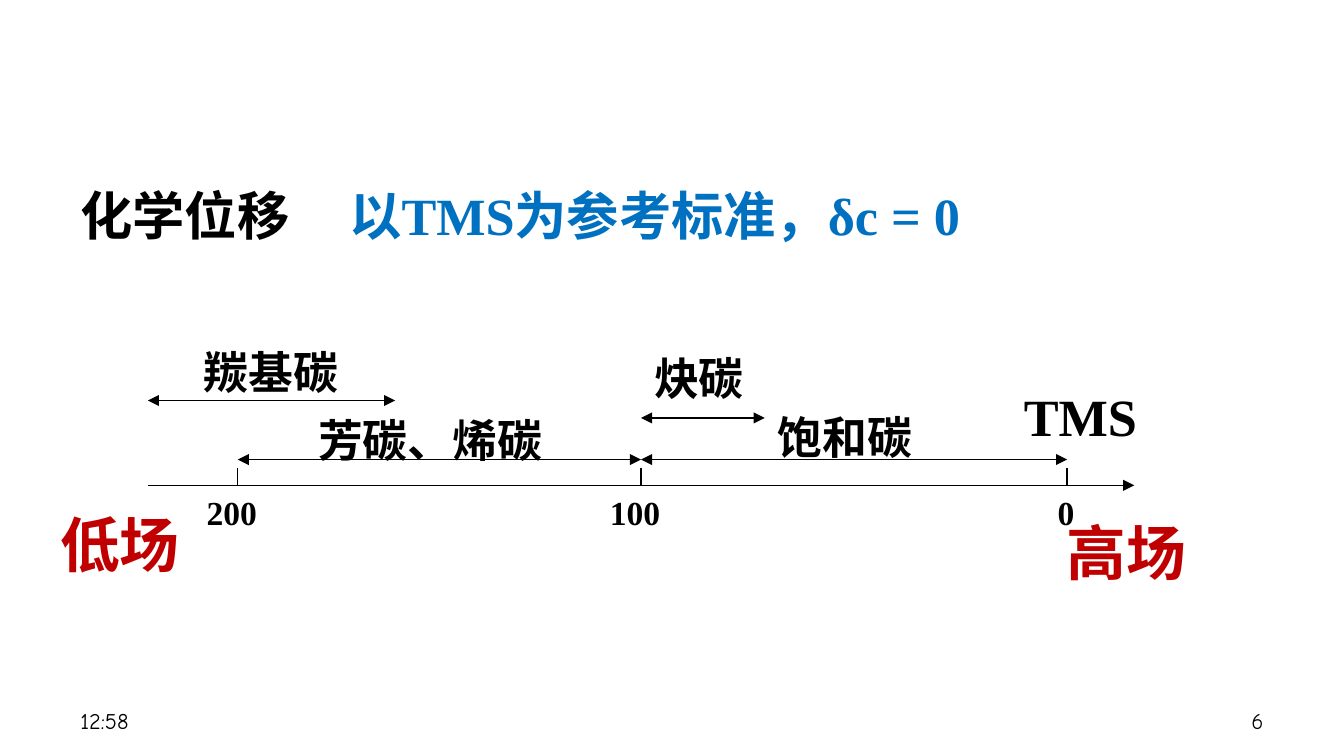
import dataclasses
import typing

import pptx
import pptx.dml.color
import pptx.enum.shapes
import pptx.enum.text
import pptx.oxml.ns
import pptx.slide
import pptx.text.text
import pptx.util
from lxml import etree

Pt = pptx.util.Pt
Color = pptx.dml.color.RGBColor
Align = pptx.enum.text.PP_ALIGN
Anchor = pptx.enum.text.MSO_ANCHOR
AutoSize = pptx.enum.text.MSO_AUTO_SIZE
qn = pptx.oxml.ns.qn


@dataclasses.dataclass(frozen=True)
class Theme:
    black: str = "000000"
    blue: str = "0070C0"
    red: str = "C00000"
    latin: str = "Times New Roman"
    chinese: str = "Noto Sans CJK SC"
    footer: str = "Comic Neue"
    heading_size: float = 28
    field_size: float = 32
    range_size: float = 24
    tick_size: float = 18
    footer_size: float = 12
    line_width: float = 0.75


THEME = Theme()


@dataclasses.dataclass(frozen=True)
class Label:
    text: str
    left: float
    top: float
    width: float
    height: float
    size: float
    font: str = THEME.chinese
    color: str = THEME.black
    bold: bool = True


@dataclasses.dataclass(frozen=True)
class Tick:
    text: str
    x: float
    label_offset: float
    label_width: float


@dataclasses.dataclass(frozen=True)
class ShiftRange:
    start: float
    end: float
    y: float


AXIS_Y = 260
TICK_HEIGHT = 9.5
AXIS_START, AXIS_END = 79.2, 607.7
TICKS = [
    Tick("200", 127.4, 23.8, 41.8),
    Tick("100", 343.4, 23.8, 41.8),
    Tick("0", 571.7, 12.2, 24),
]
X_200, X_100, X_0 = (tick.x for tick in TICKS)
RANGES = [
    ShiftRange(X_100, X_0, 246.2),
    ShiftRange(X_200, X_100, 246.2),
    ShiftRange(X_100, 409.7, 223.9),
    ShiftRange(AXIS_START, 211.7, 214.6),
]
LABELS = [
    Label("低场", 25.2, 268.6, 79.2, 46, THEME.field_size, color=THEME.red),
    Label("高场", 564.5, 272.9, 79.2, 46, THEME.field_size, color=THEME.red),
    Label("饱和碳", 409.7, 216, 87.1, 36, THEME.range_size),
    Label("炔碳", 343.4, 184.3, 63.4, 36, THEME.range_size),
    Label("芳碳、烯碳", 163.4, 217.4, 142.6, 36, THEME.range_size),
    Label("羰基碳", 102.2, 181.4, 87.1, 36, THEME.range_size),
    Label("TMS", 541.4, 202.3, 75.6, 41, THEME.heading_size, THEME.latin),
]
FOOTERS = [("12:58", 36, Align.LEFT), ("6", 516.2, Align.RIGHT)]


def add_run(para: typing.Any, text: str, size: float, font: str,
            color: str, bold: bool) -> None:
    run = para.add_run()
    run.text = text
    formats = {"size": Pt(size), "name": font, "bold": bold}
    for name, value in formats.items():
        setattr(run.font, name, value)
    run.font.color.rgb = Color.from_string(color)
    east_asian = etree.SubElement(run.font._element, qn("a:ea"))
    east_asian.set("typeface", THEME.chinese)


def add_label(slide: pptx.slide.Slide, label: Label) -> typing.Any:
    """Add an unwrapped text box and return its text frame."""
    box = slide.shapes.add_textbox(
        Pt(label.left), Pt(label.top), Pt(label.width), Pt(label.height))
    frame = box.text_frame
    frame.word_wrap = False
    frame.auto_size = AutoSize.SHAPE_TO_FIT_TEXT
    add_run(frame.paragraphs[0], label.text, label.size, label.font,
            label.color, label.bold)
    return frame


def add_footer(slide: pptx.slide.Slide, text: str, left: float,
               align: typing.Any) -> None:
    frame = add_label(slide, Label(text, left, 375.1, 167.8, 21.6,
                                   THEME.footer_size, THEME.footer, bold=False))
    formats = {"word_wrap": True, "auto_size": AutoSize.NONE,
               "vertical_anchor": Anchor.MIDDLE}
    for name, value in formats.items():
        setattr(frame, name, value)
    frame.paragraphs[0].alignment = align


def add_line(slide: pptx.slide.Slide, start: tuple[float, float],
             end: tuple[float, float], arrowheads: tuple[str, ...] = ()) -> None:
    """Draw a line; arrowheads names the ends that carry one."""
    line = slide.shapes.add_connector(
        pptx.enum.shapes.MSO_CONNECTOR.STRAIGHT,
        *(Pt(value) for value in (*start, *end)))
    line.line.width = Pt(THEME.line_width)
    line.line.color.rgb = Color.from_string(THEME.black)
    outline = line.line._get_or_add_ln()
    for name in arrowheads:
        etree.SubElement(outline, qn(f"a:{name}")).set("type", "triangle")
    etree.SubElement(line._element.spPr, qn("a:effectLst"))


def fill_body(slide: pptx.slide.Slide) -> None:
    body = slide.placeholders[1]
    geometry = {"left": 36, "top": 94.3, "width": 648, "height": 267.1}
    for name, value in geometry.items():
        setattr(body, name, Pt(value))
    body.text_frame.auto_size = AutoSize.NONE
    para = body.text_frame.paragraphs[0]
    para.space_before = Pt(0)
    properties = para._p.get_or_add_pPr()
    properties.set("marL", "0")
    properties.set("indent", "0")
    etree.SubElement(properties, qn("a:buNone"))
    tabs = etree.SubElement(properties, qn("a:tabLst"))
    tab = etree.SubElement(tabs, qn("a:tab"))
    tab.set("pos", str(int(Pt(144))))
    tab.set("algn", "l")
    for text, color in [("化学位移\t", THEME.black),
                        ("以TMS为参考标准，δc = 0", THEME.blue)]:
        add_run(para, text, THEME.heading_size, THEME.latin, color, True)


def main() -> None:
    deck = pptx.Presentation()
    deck.slide_width, deck.slide_height = Pt(720), Pt(405)
    page = deck.slides.add_slide(deck.slide_layouts[1])
    title = page.shapes.title._element
    title.getparent().remove(title)

    fill_body(page)
    for text, left, align in FOOTERS:
        add_footer(page, text, left, align)

    add_line(page, (AXIS_START, AXIS_Y), (AXIS_END, AXIS_Y), ("tailEnd",))
    for tick in TICKS:
        add_line(page, (tick.x, AXIS_Y), (tick.x, AXIS_Y - TICK_HEIGHT))
        add_label(page, Label(tick.text, tick.x - tick.label_offset, AXIS_Y,
                              tick.label_width, 46, THEME.tick_size, THEME.latin))
    for span in RANGES:
        add_line(page, (span.start, span.y), (span.end, span.y),
                 ("headEnd", "tailEnd"))
    for label in LABELS:
        add_label(page, label)

    deck.save("out.pptx")


if __name__ == "__main__":
    main()
